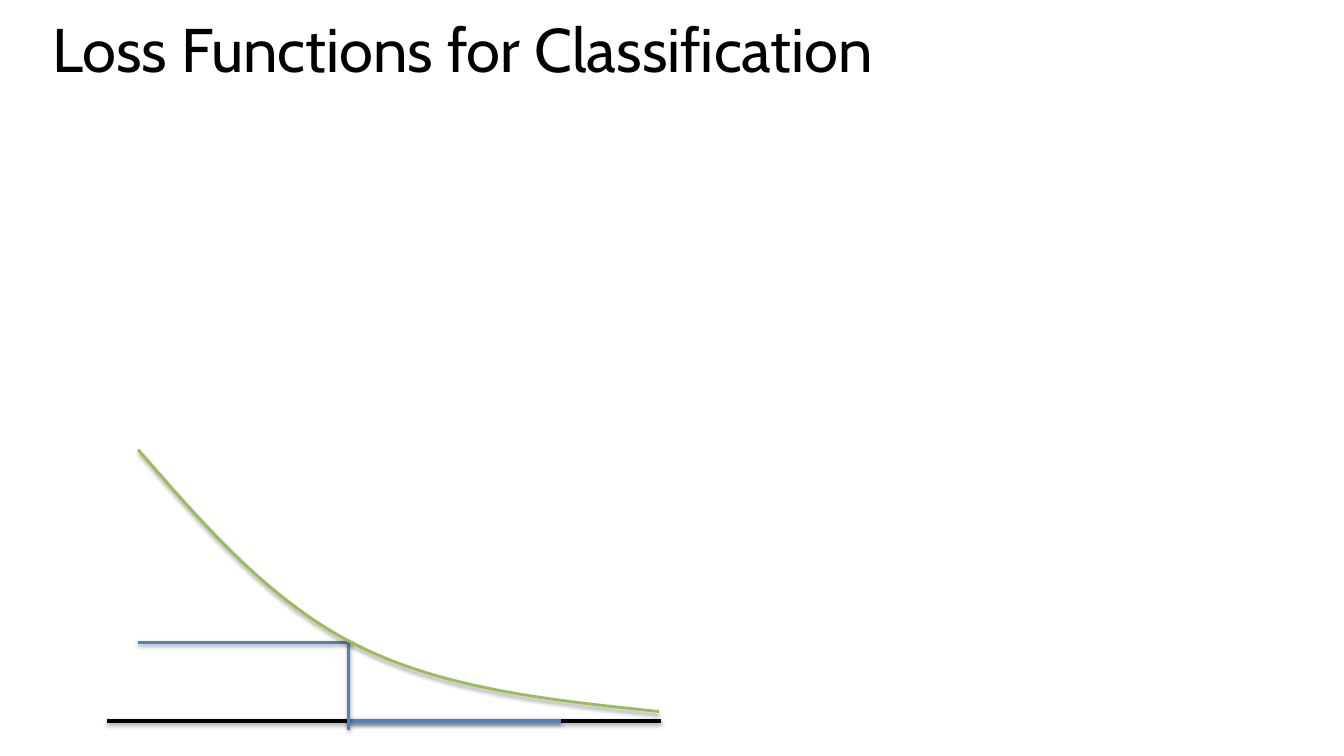
import pptx
import pptx.dml.color
import pptx.enum.shapes
import pptx.enum.text
import pptx.oxml
import pptx.oxml.ns
import pptx.util
from pptx.util import Cm

BLACK = pptx.dml.color.RGBColor(0x00, 0x00, 0x00)
BLUE = pptx.dml.color.RGBColor(0x4F, 0x81, 0xBD)
GREEN = pptx.dml.color.RGBColor(0x9B, 0xBB, 0x59)

# Content: lengths in centimetres, line widths in points
TITLE = "Loss Functions for Classification"
AXIS_Y = 18.16
SOFT = (38, 1.6)  # shadow opacity in percent, distance in points
STRAIGHT_LINES = [  # start, end, colour, width, shadow
    ((2.69, AXIS_Y), (16.66, AXIS_Y), BLACK, 3, (35, 1.8)),
    ((3.48, 16.18), (8.89, 16.18), BLUE, 2, SOFT),
    ((8.74, AXIS_Y), (14.15, AXIS_Y), BLUE, 3, SOFT),
    ((8.79, 18.39), (8.79, 16.23), BLUE, 2, SOFT),
]
LOSS_START = (3.48, 11.33)
LOSS_CURVE = [  # two Bézier pieces: control, control, end
    (5.16, 13.26), (6.83, 15.19), (9.04, 16.28),
    (11.23, 17.37), (13.92, 17.65), (16.61, 17.93),
]


def style_line(shape, colour, width, shadow):
    shape.line.color.rgb = colour
    shape.line.width = pptx.util.Pt(width)
    opacity, distance = shadow
    shape._element.spPr.append(pptx.oxml.parse_xml(
        f'<a:effectLst {pptx.oxml.ns.nsdecls("a")}>'
        f'<a:outerShdw blurRad="{pptx.util.Pt(3.1)}" dist="{pptx.util.Pt(distance)}" '
        'dir="5400000" rotWithShape="0"><a:srgbClr val="000000">'
        f'<a:alpha val="{opacity * 1000}"/></a:srgbClr></a:outerShdw></a:effectLst>'))


def bend_segments(shape):
    """Turn every three straight segments into one cubic curve."""
    segments = shape._element.xpath(".//a:lnTo")
    for first in range(0, len(segments), 3):
        group = segments[first:first + 3]
        curve = pptx.oxml.parse_xml(f'<a:cubicBezTo {pptx.oxml.ns.nsdecls("a")}/>')
        group[0].addprevious(curve)
        for segment in group:
            curve.append(segment[0])
            segment.getparent().remove(segment)


deck = pptx.Presentation()
deck.slide_width, deck.slide_height = Cm(33.87), Cm(19.05)
page = deck.slides.add_slide(deck.slide_layouts[6])

# Title
box = page.shapes.add_textbox(Cm(1.07), Cm(0.51), Cm(32), Cm(2.95))
box.text_frame.word_wrap = True
box.text_frame.vertical_anchor = pptx.enum.text.MSO_ANCHOR.TOP
para = box.text_frame.paragraphs[0]
para.text = TITLE
para.line_spacing = 0.8
para.font.name = "Cabin"
para.font.size = pptx.util.Pt(44)
para.font.color.rgb = BLACK

# Axis and markers
for start, end, colour, width, shadow in STRAIGHT_LINES:
    line = page.shapes.add_connector(
        pptx.enum.shapes.MSO_CONNECTOR.STRAIGHT, *map(Cm, start + end))
    style_line(line, colour, width, shadow)

# Loss curve
builder = page.shapes.build_freeform(*map(Cm, LOSS_START))
builder.add_line_segments([(Cm(x), Cm(y)) for x, y in LOSS_CURVE], close=False)
loss = builder.convert_to_shape()
bend_segments(loss)
loss.fill.background()
style_line(loss, GREEN, 2, SOFT)

deck.save("out.pptx")
